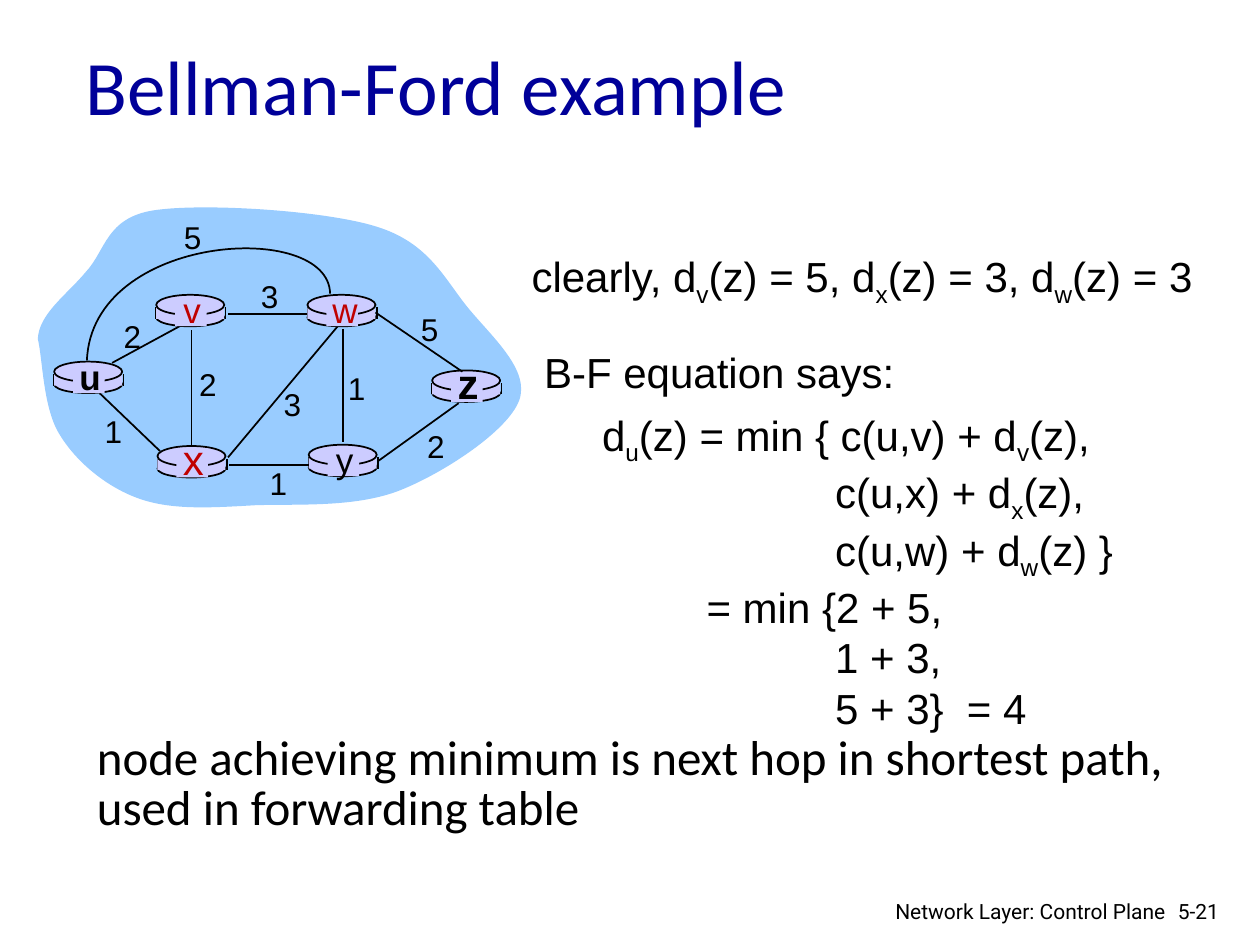
"""Build the Bellman-Ford example slide: a weighted router graph beside its equations."""
import pptx
import pptx.dml.color
import pptx.enum.shapes
import pptx.enum.text
import pptx.oxml
import pptx.oxml.ns
import pptx.util

PX = 9144
SHAPE = pptx.enum.shapes.MSO_SHAPE
ALIGN = pptx.enum.text.PP_ALIGN
BLACK, RED, NAVY, LILAC, SKY = "000000", "C00000", "000099", "CCCCFF", "99CCFF"

CLOUD = [(30, 269), (31, 249), (53, 234), (68, 216), (84, 199), (84, 173), (122, 167),
         (161, 161), (258, 167), (299, 180), (341, 193), (353, 222), (372, 245),
         (391, 268), (421, 294), (412, 318), (403, 342), (353, 375), (318, 389),
         (283, 403), (237, 400), (203, 401), (168, 403), (137, 405), (111, 396),
         (85, 387), (61, 367), (48, 346), (34, 325), (34, 285), (30, 269)]
U_TO_W = [(262, 233), (261, 174), (73, 185), (69, 286)]
U_TO_V = (89, 288, 148, 256)
LINKS = [(272, 261, 272, 351), (152, 262, 152, 355), (181, 363, 268, 259),
         (300, 366, 364, 320), (245, 369, 182, 369), (127, 358, 79, 312),
         (244, 249, 181, 249), (367, 295, 298, 248)]
ROUTERS = [("u", 43, 287, 20, BLACK, True), ("x", 125, 354, 24, RED, False),
           ("v", 124, 234, 20, RED, False), ("w", 244, 234, 20, RED, False),
           ("y", 245, 353, 20, BLACK, False), ("z", 343, 294, 24, BLACK, True)]
COSTS = [("2", 88, 247), ("2", 148, 285), ("1", 73, 322), ("3", 215, 301), ("1", 204, 363),
         ("1", 266, 288), ("2", 329, 334), ("5", 324, 241), ("3", 197, 215), ("5", 136, 168)]
DISTANCES = ["clearly, d_v(z) = 5, d_x(z) = 3, d_w(z) = 3"]
EQUATION = ["d_u(z) = min { c(u,v) + d_v(z),", "c(u,x) + d_x(z),", "c(u,w) + d_w(z) }",
            "= min {2 + 5,", "1 + 3,", "5 + 3}  = 4"]
EQUATION_INDENTS = [0, 185, 185, 83, 185, 185]
CONCLUSION = ["node achieving minimum is next hop in shortest path,", "used in forwarding table"]


def px(*values):
    return [pptx.util.Emu(v * PX) for v in values]


def rgb(value):
    return pptx.dml.color.RGBColor.from_string(value)


def style_shape(sp, fill=None, line=None):
    sp.shadow.inherit = False
    if fill:
        sp.fill.solid()
        sp.fill.fore_color.rgb = rgb(fill)
    else:
        sp.fill.background()
    if line:
        sp.line.color.rgb = rgb(line)
        sp.line.width = pptx.util.Pt(1)
    else:
        sp.line.fill.background()


def add_preset(s, kind, box, fill, line=None):
    style_shape(s.shapes.add_shape(kind, *px(*box)), fill, line)


def add_line(s, ends):
    sp = s.shapes.add_connector(pptx.enum.shapes.MSO_CONNECTOR.STRAIGHT, *px(*ends))
    sp.line.color.rgb = rgb(BLACK)
    sp.line.width = pptx.util.Pt(1)
    sp._element.spPr.append(pptx.oxml.parse_xml(
        f'<a:effectLst {pptx.oxml.ns.nsdecls("a")}/>'))


def add_curve(s, points, fill=None, line=None, close=False):
    builder = s.shapes.build_freeform(*points[0], scale=PX)
    builder.add_line_segments(points[1:], close=close)
    sp = builder.convert_to_shape()
    path = next(sp._element.iter(pptx.oxml.ns.qn("a:path")))
    segments = path.findall(pptx.oxml.ns.qn("a:lnTo"))
    for first, second, third in zip(segments[::3], segments[1::3], segments[2::3]):
        first.tag = pptx.oxml.ns.qn("a:cubicBezTo")
        for other in (second, third):
            first.append(other[0])
            path.remove(other)
    style_shape(sp, fill, line)


def format_paragraph(p, size, font, color, bold=False, align=ALIGN.LEFT):
    p.alignment = align
    p.font.size = pptx.util.Pt(size)
    p.font.name = font
    p.font.color.rgb = rgb(color)
    p.font.bold = bold


def add_runs(p, text):
    """Add runs, lowering each letter that follows an underscore."""
    start, *rest = text.split("_")
    p.add_run().text = start
    for part in rest:
        r = p.add_run()
        r.text = part[0]
        r._r.get_or_add_rPr().set("baseline", "-25000")
        p.add_run().text = part[1:]


def add_text(s, box, lines, size, font="Arial", color=BLACK, bold=False, align=ALIGN.LEFT,
             wrap=False, spacing=None, indents=None):
    tf = s.shapes.add_textbox(*px(*box)).text_frame
    tf.word_wrap = wrap
    if not wrap:
        tf.auto_size = pptx.enum.text.MSO_AUTO_SIZE.SHAPE_TO_FIT_TEXT
    for i, text in enumerate(lines):
        p = tf.add_paragraph() if i else tf.paragraphs[0]
        add_runs(p, text)
        if indents:
            p._p.get_or_add_pPr().set("marL", str(indents[i] * PX))
        if spacing:
            p.line_spacing = spacing
        format_paragraph(p, size, font, color, bold, align)


def add_router(s, x, y):
    add_preset(s, SHAPE.OVAL, (x, y + 11, 54, 14), LILAC, BLACK)
    for side in (x, x + 55):
        add_line(s, (side, y + 10, side, y + 19))
    add_preset(s, SHAPE.RECTANGLE, (x, y + 10, 54, 9), LILAC)
    add_preset(s, SHAPE.OVAL, (x, y, 54, 16), LILAC, BLACK)


def add_router_name(s, name, x, y, size, color, bold):
    add_preset(s, SHAPE.RECTANGLE, (x + 15, y + 2, 25, 23), LILAC)
    top, height = (y - 10, 43) if size == 20 else (y - 15, 50)
    add_text(s, (x + 10, top, 37, height), [name], size, color=color, bold=bold,
             align=ALIGN.CENTER)


def main():
    prs = pptx.Presentation()
    prs.slide_width, prs.slide_height = px(1000, 750)
    s = prs.slides.add_slide(prs.slide_layouts[5])

    title = s.shapes.title
    title.left, title.top, title.width, title.height = px(58, 19, 850, 96)
    title.text_frame.text = "Bellman-Ford example"
    title.text_frame.vertical_anchor = pptx.enum.text.MSO_ANCHOR.MIDDLE
    format_paragraph(title.text_frame.paragraphs[0], 44, "Calibri", NAVY)

    add_curve(s, CLOUD, fill=SKY, close=True)
    add_line(s, U_TO_V)
    for _, x, y, *_ in ROUTERS:
        add_router(s, x, y)
    for ends in LINKS:
        add_line(s, ends)
    add_curve(s, U_TO_W, line=BLACK)
    for router in ROUTERS:
        add_router_name(s, *router)
    for cost, x, y in COSTS:
        add_text(s, (x, y, 34, 40), [cost], 18, align=ALIGN.CENTER)

    add_text(s, (412, 194, 552, 50), DISTANCES, 24)
    add_text(s, (468, 320, 427, 250), EQUATION, 24, indents=EQUATION_INDENTS)
    add_text(s, (67, 579, 879, 90), CONCLUSION, 28, "Calibri", spacing=0.85)
    add_text(s, (422, 270, 298, 50), ["B-F equation says:"], 24)
    add_text(s, (925, 708, 60, 30), ["5-21"], 12, "Roboto", wrap=True)
    add_text(s, (697, 708, 238, 26), ["Network Layer: Control Plane"], 12, "Roboto",
             align=ALIGN.RIGHT, wrap=True)
    prs.save("out.pptx")


if __name__ == "__main__":
    main()
